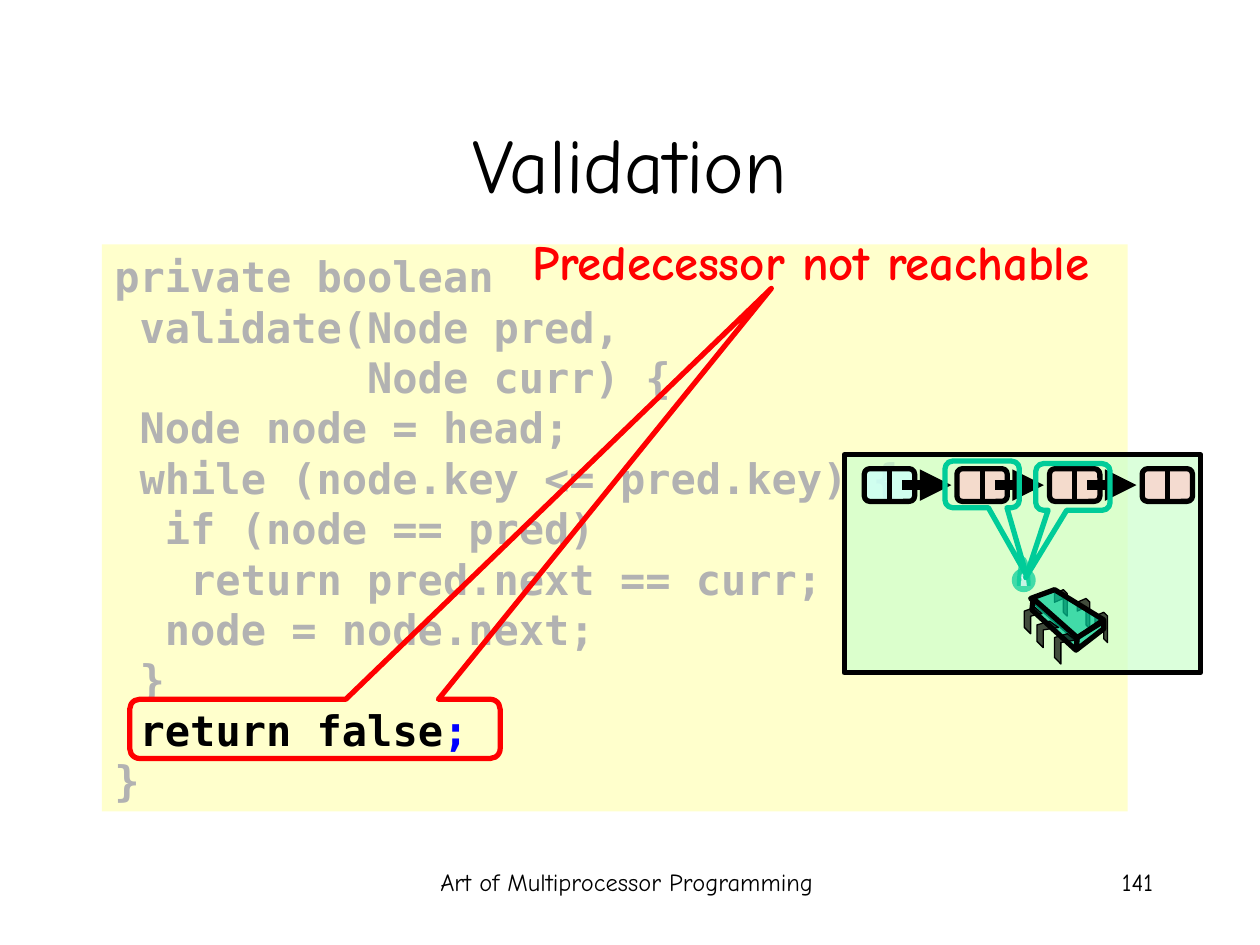
import math
from dataclasses import dataclass
from typing import Any, Optional

import pptx
import pptx.dml.color
import pptx.enum.shapes
import pptx.enum.text
import pptx.oxml
import pptx.oxml.ns
import pptx.util

RGBColor = pptx.dml.color.RGBColor
Cm, Pt = pptx.util.Cm, pptx.util.Pt
Preset = pptx.enum.shapes.MSO_SHAPE
Align = pptx.enum.text.PP_ALIGN
Anchor = pptx.enum.text.MSO_ANCHOR
qn = pptx.oxml.ns.qn

BLACK = RGBColor(0x00, 0x00, 0x00)
WHITE = RGBColor(0xFF, 0xFF, 0xFF)
GRAY = RGBColor(0xB2, 0xB2, 0xB2)
BLUE = RGBColor(0x00, 0x00, 0xFF)
RED = RGBColor(0xFF, 0x00, 0x00)
CREAM = RGBColor(0xFF, 0xFF, 0xCC)
MINT = RGBColor(0xCC, 0xFF, 0xCC)
AQUA = RGBColor(0xCC, 0xFF, 0xFF)
PINK = RGBColor(0xFF, 0xCC, 0xCC)
TEAL = RGBColor(0x00, 0xCC, 0x99)

TEXT_FONT = {"name": "Comic Neue", "bold": False}
CODE_FONT = {"name": "DejaVu Sans Mono", "size": Pt(24), "bold": True}
OPACITY = 70

CODE_LINES = [
    [("private boolean", GRAY)],
    [(" validate(Node pred,", GRAY)],
    [("          Node curr) {", GRAY)],
    [(" Node node = head;", GRAY)],
    [(" while (node.key <= pred.key) {", GRAY)],
    [("  if (node == pred)", GRAY)],
    [("   return pred.next == curr;", GRAY)],
    [("  node = node.next;", GRAY)],
    [(" }", GRAY)],
    [(" ", BLUE), ("return false", BLACK), (";", BLUE)],
    [("}", GRAY)],
]


@dataclass(frozen=True)
class Box:
    """Position and size in inches."""
    left: float
    top: float
    width: float
    height: float

    def lengths(self) -> list:
        return [inches(v) for v in (self.left, self.top, self.width, self.height)]


@dataclass(frozen=True)
class Paint:
    fill: Optional[RGBColor] = None
    opacity: int = 100
    line: Optional[RGBColor] = None
    weight: float = 3


@dataclass(frozen=True)
class Label:
    text: str
    box: Box
    size: int
    align: Any
    color: RGBColor = BLACK
    bold: bool = False


def inches(value: float) -> Any:
    return Cm(value * 2.54)


def apply(target: Any, values: dict) -> None:
    for name, value in values.items():
        setattr(target, name, value)


def add_run(paragraph: Any, text: str, color: RGBColor, font: dict) -> None:
    run = paragraph.add_run()
    run.text = text
    apply(run.font, font)
    run.font.color.rgb = color


def paint_shape(shape: Any, paint: Paint) -> Any:
    shape.shadow.inherit = False
    if paint.fill is None:
        shape.fill.background()
    else:
        shape.fill.solid()
        shape.fill.fore_color.rgb = paint.fill
        if paint.opacity < 100:
            color = shape.fill._xPr.find(".//" + qn("a:srgbClr"))
            pptx.oxml.xmlchemy.OxmlElement("a:alpha")
            alpha = color.makeelement(qn("a:alpha"), {"val": str(paint.opacity * 1000)})
            color.append(alpha)
    if paint.line is None:
        shape.line.fill.background()
    else:
        shape.line.color.rgb = paint.line
        shape.line.width = Pt(paint.weight)
    return shape


def add_preset(shapes: Any, kind: Any, box: Box, paint: Paint, adjustments: tuple = ()) -> Any:
    shape = shapes.add_shape(kind, *box.lengths())
    for index, value in enumerate(adjustments):
        shape.adjustments[index] = value
    return paint_shape(shape, paint)


def add_outline(shapes: Any, points: list, paint: Paint) -> None:
    corners = [(inches(x), inches(y)) for x, y in points]
    builder = shapes.build_freeform(*corners[0])
    builder.add_line_segments(corners[1:], close=True)
    paint_shape(builder.convert_to_shape(), paint)


def add_line(shapes: Any, start: tuple, end: tuple, weight: float, arrow: bool = False) -> None:
    kind = pptx.enum.shapes.MSO_CONNECTOR.STRAIGHT
    connector = shapes.add_connector(kind, *[inches(v) for v in start + end])
    connector.line.color.rgb = BLACK
    connector.line.width = Pt(weight)
    line = connector.line._get_or_add_ln()
    if arrow:
        line.append(line.makeelement(qn("a:tailEnd"), {"type": "triangle"}))
    properties = line.getparent()
    properties.append(properties.makeelement(qn("a:effectLst"), {}))


def add_label(shapes: Any, label: Label) -> None:
    frame = shapes.add_textbox(*label.box.lengths()).text_frame
    frame.word_wrap = True
    paragraph = frame.paragraphs[0]
    paragraph.alignment = label.align
    font = {**TEXT_FONT, "size": Pt(label.size), "bold": label.bold}
    add_run(paragraph, label.text, label.color, font)


def add_code(shapes: Any) -> None:
    panel = add_preset(shapes, Preset.RECTANGLE, Box(0.81, 1.94, 8.14, 4.5), Paint(CREAM))
    frame = panel.text_frame
    apply(frame, {"word_wrap": True, "vertical_anchor": Anchor.TOP})
    for index, runs in enumerate(CODE_LINES):
        paragraph = frame.add_paragraph() if index else frame.paragraphs[0]
        apply(paragraph, {"alignment": Align.LEFT, "line_spacing": Pt(28.8)})
        for text, color in runs:
            add_run(paragraph, text, color, CODE_FONT)


def add_list_nodes(shapes: Any) -> None:
    lefts = [6.86 + 0.735 * index for index in range(4)]
    for index, left in enumerate(lefts):
        paint = Paint(PINK if index else AQUA, OPACITY, BLACK)
        add_preset(shapes, Preset.ROUNDED_RECTANGLE, Box(left, 3.72, 0.4, 0.26), paint, (0.167,))
        add_line(shapes, (left + 0.2, 3.72), (left + 0.2, 3.98), 3)
    for left in lefts[:-1]:
        add_line(shapes, (left + 0.3, 3.85), (left + 0.69, 3.85), 6, arrow=True)


def add_padlock(shapes: Any) -> None:
    teal, white = Paint(TEAL, OPACITY), Paint(WHITE, OPACITY)
    add_preset(shapes, Preset.OVAL, Box(8.03, 4.51, 0.19, 0.19), teal)
    add_preset(shapes, Preset.OVAL, Box(8.1, 4.55, 0.05, 0.05), white)
    add_outline(shapes, [(8.1, 4.65), (8.11, 4.58), (8.14, 4.58), (8.15, 4.65)], white)
    angles = [math.pi * step / 12 for step in range(13)]
    inner = [(8.125 - 0.025 * math.cos(a), 4.65 - 0.12 * math.sin(a)) for a in angles]
    outer = [(8.125 + 0.055 * math.cos(a), 4.65 - 0.23 * math.sin(a)) for a in angles]
    add_outline(shapes, inner + outer, teal)


def add_chip(shapes: Any) -> None:
    pin, face = Paint(BLACK, OPACITY, BLACK, 0.75), Paint(TEAL, OPACITY, BLACK)
    for x, y, h in [(8.69, 4.86, 0.24), (8.55, 4.75, 0.24), (8.37, 4.68, 0.21)]:
        rear = [(0, 0.03), (0.07, 0), (0.1, 0.03), (0.1, h), (0.07, h - 0.03), (0.07, 0.07), (0, 0.1)]
        add_outline(shapes, [(x + dx, y + dy) for dx, dy in rear], pin)
    for points in (
        [(8.37, 4.68), (8.76, 4.92), (8.54, 5.07), (8.18, 4.75)],
        [(8.2, 4.75), (8.55, 5.06), (8.54, 5.16), (8.19, 4.84)],
        [(8.76, 4.93), (8.76, 4.99), (8.54, 5.16), (8.55, 5.06)],
    ):
        add_outline(shapes, points, face)
    for x, y, w, h in [(8.37, 5.03, 0.17, 0.24), (8.23, 4.93, 0.17, 0.21), (8.13, 4.82, 0.14, 0.21)]:
        front = [(w * 0.6, 0), (w, 0.05), (0.05, 0.07), (0.05, h), (0, h - 0.05), (0, 0.03)]
        add_outline(shapes, [(x + dx, y + dy) for dx, dy in front], pin)


def main() -> None:
    presentation = pptx.Presentation()
    apply(presentation, {"slide_width": inches(10), "slide_height": inches(7.5)})
    slide = presentation.slides.add_slide(presentation.slide_layouts[5])
    shapes = slide.shapes

    # Title
    title = shapes.title
    apply(title, dict(zip(("left", "top", "width", "height"), Box(0.75, 0.67, 8.5, 1.25).lengths())))
    title.text_frame.vertical_anchor = Anchor.MIDDLE
    paragraph = title.text_frame.paragraphs[0]
    paragraph.alignment = Align.CENTER
    add_run(paragraph, "Validation", BLACK, {**TEXT_FONT, "size": Pt(44)})

    # Code with the highlighted result
    add_code(shapes)
    callout = Preset.ROUNDED_RECTANGULAR_CALLOUT
    add_preset(shapes, callout, Box(1.03, 5.55, 2.94, 0.47), Paint(line=RED), (1.232, -7.437, 0.167))

    # Remark, footer and slide number
    for label in (
        Label("Predecessor not reachable", Box(3.71, 1.79, 5.45, 0.57), 28, Align.CENTER, RED, True),
        Label("Art of Multiprocessor Programming", Box(3.1, 6.83, 3.75, 0.5), 14, Align.CENTER),
        Label("141", Box(7.17, 6.83, 2.08, 0.5), 14, Align.RIGHT),
    ):
        add_label(shapes, label)

    # Linked list with two nodes locked by a thread
    diagram = shapes.add_group_shape().shapes
    add_preset(diagram, Preset.RECTANGLE, Box(6.7, 3.61, 2.83, 1.73), Paint(MINT, OPACITY, BLACK))
    add_list_nodes(diagram)
    add_padlock(diagram)
    add_chip(diagram)
    for left, top, pointer in [(7.5, 3.66, 0.596), (8.22, 3.68, -0.635)]:
        add_preset(diagram, callout, Box(left, top, 0.59, 0.37), Paint(line=TEAL), (pointer, 1.944, 0.167))

    presentation.save("out.pptx")


if __name__ == "__main__":
    main()
